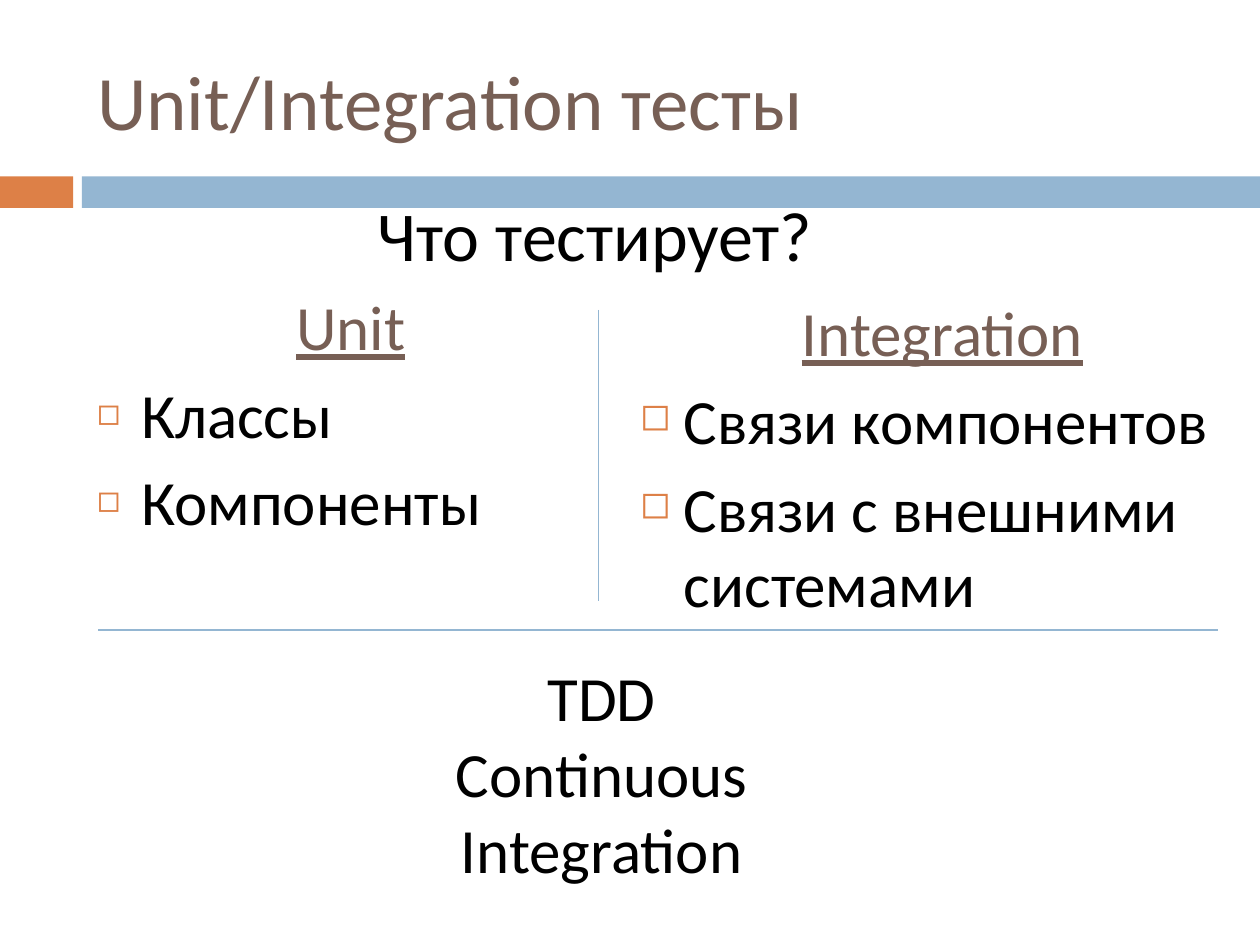
from dataclasses import dataclass

from lxml import etree
from pptx import Presentation
from pptx.dml.color import RGBColor
from pptx.enum.shapes import MSO_CONNECTOR, MSO_SHAPE
from pptx.enum.text import MSO_ANCHOR, MSO_AUTO_SIZE, PP_ALIGN
from pptx.oxml.ns import qn
from pptx.util import Inches, Pt

RECTANGLE = MSO_SHAPE.RECTANGLE
STRAIGHT = MSO_CONNECTOR.STRAIGHT
LEFT, CENTER = PP_ALIGN.LEFT, PP_ALIGN.CENTER
TOP, MIDDLE = MSO_ANCHOR.TOP, MSO_ANCHOR.MIDDLE
NO_AUTOFIT = MSO_AUTO_SIZE.NONE


@dataclass(frozen=True)
class Theme:
    font: str = "Calibri"
    text: str = "000000"
    heading: str = "775F55"
    accent: str = "DD8047"
    band: str = "94B6D2"
    title_size: int = 44
    question_size: int = 40
    body_size: int = 36
    line_width: float = 0.79
    gap: int = 7


THEME = Theme()


def place(shape, left, top, width, height):
    shape.left, shape.top = Inches(left), Inches(top)
    shape.width, shape.height = Inches(width), Inches(height)


def prepare_frame(shape, anchor=TOP, wrap=True):
    frame = shape.text_frame
    frame.auto_size = NO_AUTOFIT
    frame.word_wrap = wrap
    frame.vertical_anchor = anchor
    return frame


def write(para, text, size, color=THEME.text, align=LEFT, gap=0, underline=False):
    para.text = text
    para.alignment = align
    para.line_spacing = 1.0
    para.space_before = Pt(gap)
    para.font.name = THEME.font
    para.font.size = Pt(size)
    para.font.color.rgb = RGBColor.from_string(color)
    para.font.underline = underline


def set_bullet(para, char=None):
    properties = para._p.get_or_add_pPr()
    indent = Inches(0.35) if char else 0
    properties.set("marL", str(indent))
    properties.set("indent", str(-indent))
    if char:
        color = etree.Element(qn("a:buClr"))
        etree.SubElement(color, qn("a:srgbClr"), val=THEME.accent)
        size = etree.Element(qn("a:buSzPct"), val="60000")
        marks = [color, size, etree.Element(qn("a:buChar"), char=char)]
    else:
        marks = [etree.Element(qn("a:buNone"))]
    defaults = properties.find(qn("a:defRPr"))
    for mark in marks:
        defaults.addprevious(mark)


def fill_column(shape, heading, items, heading_gap):
    frame = prepare_frame(shape)
    title = frame.paragraphs[0]
    write(title, heading, THEME.body_size, THEME.heading, CENTER, heading_gap, True)
    set_bullet(title)
    for item in items:
        para = frame.add_paragraph()
        write(para, item, THEME.body_size, gap=THEME.gap)
        set_bullet(para, "◻")


def add_text(slide, bounds, lines, size, align=LEFT, wrap=True):
    box = slide.shapes.add_textbox(*map(Inches, bounds))
    frame = prepare_frame(box, wrap=wrap)
    for index, line in enumerate(lines):
        para = frame.add_paragraph() if index else frame.paragraphs[0]
        write(para, line, size, align=align)


def add_band(slide, left, width, color):
    band = slide.shapes.add_shape(
        RECTANGLE, Inches(left), Inches(1.4), Inches(width), Inches(0.25)
    )
    band.shadow.inherit = False
    band.fill.solid()
    band.fill.fore_color.rgb = RGBColor.from_string(color)
    band.line.fill.background()


def add_divider(slide, *ends):
    line = slide.shapes.add_connector(STRAIGHT, *map(Inches, ends))
    line.line.color.rgb = RGBColor.from_string(THEME.band)
    line.line.width = Pt(THEME.line_width)
    etree.SubElement(line._element.spPr, qn("a:effectLst"))


def main():
    deck = Presentation()
    deck.slide_width, deck.slide_height = Inches(10), Inches(7.5)
    slide = deck.slides.add_slide(deck.slide_layouts[1])
    add_band(slide, 0, 0.58, THEME.accent)
    add_band(slide, 0.65, 9.35, THEME.band)

    title = slide.shapes.title
    place(title, 0.67, 0.25, 8.92, 1.08)
    heading = prepare_frame(title, MIDDLE).paragraphs[0]
    write(heading, "Unit/Integration тесты", THEME.title_size, THEME.heading)

    unit = slide.placeholders[1]
    place(unit, 0.67, 2.23, 4.23, 4.02)
    fill_column(unit, "Unit", ["Классы", "Компоненты"], THEME.gap)

    integration = slide.shapes.add_textbox(*map(Inches, (4.98, 2.28, 5, 2.72)))
    links = ["Связи компонентов", "Связи с внешними системами"]
    fill_column(integration, "Integration", links, 0)

    add_text(slide, (2.9, 1.47, 3.69, 0.77), ["Что тестирует?"],
             THEME.question_size, wrap=False)
    add_divider(slide, 4.75, 2.46, 4.75, 4.77)
    add_divider(slide, 0.78, 5, 9.67, 5)
    add_text(slide, (2.47, 5.18, 4.61, 1.31), ["TDD", "Continuous Integration"],
             THEME.body_size, CENTER)
    deck.save("out.pptx")


if __name__ == "__main__":
    main()
